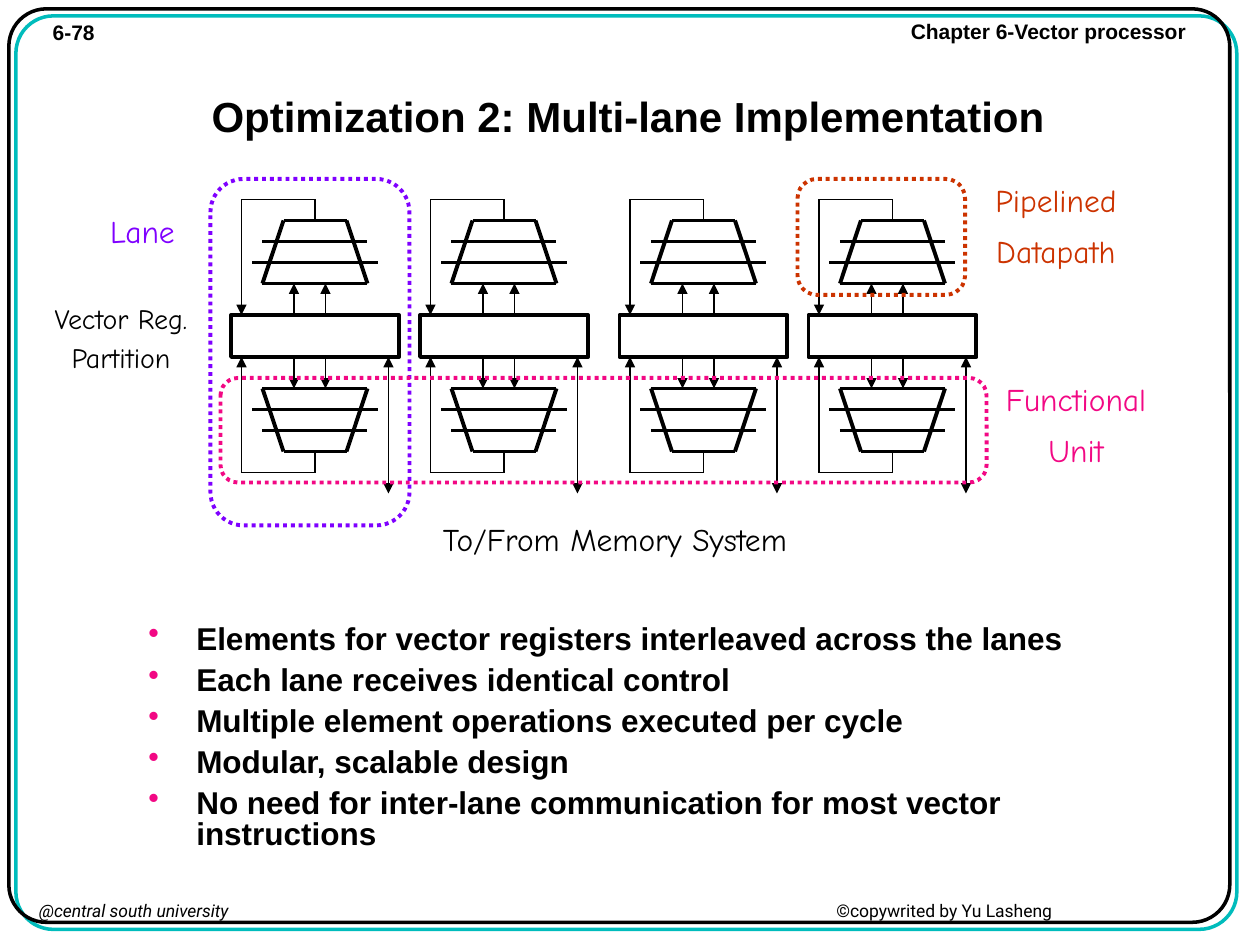
from lxml import etree
from pptx import Presentation
from pptx.dml.color import RGBColor
from pptx.enum.dml import MSO_LINE
from pptx.enum.shapes import MSO_CONNECTOR, MSO_SHAPE
from pptx.enum.text import MSO_ANCHOR, PP_ALIGN
from pptx.oxml.ns import qn
from pptx.util import Inches, Pt

STRAIGHT = MSO_CONNECTOR.STRAIGHT
RECTANGLE = MSO_SHAPE.RECTANGLE
ROUNDED = MSO_SHAPE.ROUNDED_RECTANGLE
DOTTED = MSO_LINE.ROUND_DOT
CENTER = PP_ALIGN.CENTER
LEFT = PP_ALIGN.LEFT
MIDDLE = MSO_ANCHOR.MIDDLE
TOP = MSO_ANCHOR.TOP

BLACK = "000000"
TEAL = "00BCBC"
PURPLE = "7F00FF"
ORANGE = "CC3300"
PINK = "F20884"
THICK, THIN = 2.25, 0.75
UNIT = 1 / 12
REGISTER_TOP, REGISTER_WIDTH, REGISTER_HEIGHT = 30, 16, 4
LANE_LEFTS = (22, 40, 59, 77)

BULLETS = (
    "Elements for vector registers interleaved across the lanes",
    "Each lane receives identical control",
    "Multiple element operations executed per cycle",
    "Modular, scalable design",
    "No need for inter-lane communication for most vector instructions",
)


def color(value):
    return RGBColor.from_string(value)


def add_element(parent, tag, **attributes):
    return etree.SubElement(parent, qn(tag), attributes)


def add_outline(shapes, kind, box, line_color, width, rounding=None):
    shape = shapes.add_shape(kind, *map(Inches, box))
    shape.shadow.inherit = False
    shape.fill.background()
    shape.line.color.rgb = color(line_color)
    shape.line.width = Pt(width)
    if rounding is not None:
        shape.adjustments[0] = rounding
    return shape


def add_text(page, box, lines, size, font="Arial", text_color=BLACK, bold=False,
             align=LEFT, spacing=1.0, before=0, wrap=True, anchor=TOP, bullet=None):
    text_box = page.shapes.add_textbox(*map(Inches, box))
    frame = text_box.text_frame
    frame.word_wrap = wrap
    frame.vertical_anchor = anchor
    for index, line in enumerate(lines):
        para = frame.add_paragraph() if index else frame.paragraphs[0]
        para.text = line
        para.alignment = align
        para.line_spacing = spacing
        if index:
            para.space_before = Pt(before)
        if bullet:
            properties = para._p.get_or_add_pPr()
            properties.set("marL", str(Inches(0.38)))
            properties.set("indent", str(-Inches(0.38)))
            add_element(add_element(properties, "a:buClr"), "a:srgbClr", val=bullet)
            add_element(properties, "a:buChar", char="•")
        para.font.size = Pt(size)
        para.font.name = font
        para.font.bold = bold
        para.font.color.rgb = color(text_color)
    return frame


def add_line(group, start, end, width, head=False, tail=False):
    ends = [Inches(value * UNIT) for value in (*start, *end)]
    line = group.shapes.add_connector(STRAIGHT, *ends)
    line.line.color.rgb = color(BLACK)
    line.line.width = Pt(width)
    outline = line.line._get_or_add_ln()
    for wanted, tag in ((head, "a:headEnd"), (tail, "a:tailEnd")):
        if wanted:
            add_element(outline, tag, type="triangle")
    add_element(line._element.spPr, "a:effectLst")


def add_frame(page, box):
    frame = add_outline(page.shapes, ROUNDED, box, BLACK, 2, 0.041)
    effects = frame._element.spPr.find(qn("a:effectLst"))
    shadow = add_element(effects, "a:outerShdw", blurRad="0", dist=str(Pt(5.7)),
                         dir="2700000", algn="ctr", rotWithShape="0")
    add_element(shadow, "a:srgbClr", val=TEAL)


def add_footer(page, box):
    frame = add_text(page, box, ["@central south university"], 10, "Roboto")
    para = frame.paragraphs[0]
    tabs = etree.Element(qn("a:tabLst"))
    add_element(tabs, "a:tab", pos=str(Inches(6.33)), algn="l")
    para._p.get_or_add_pPr().find(qn("a:defRPr")).addprevious(tabs)
    para.runs[0].font.italic = True
    span = para.add_run()
    span.text = "\t©copywrited by Yu Lasheng"
    for each in para.runs:
        each.font.size = Pt(10)
        each.font.name = "Roboto"


def add_datapath(group, left, edge, direction):
    def draw(start, end, width, tail=False):
        points = [(left + across, edge + direction * away)
                  for across, away in (start, end)]
        add_line(group, *points, width, tail=tail)

    for start, end in (((5, 9), (11, 9)), ((5, 9), (3, 3)), ((11, 9), (13, 3)),
                       ((3, 3), (13, 3)), ((2, 5), (14, 5)), ((3, 7), (13, 7))):
        draw(start, end, THICK)
    for port in (6, 9):
        draw((port, 0), (port, 3), THIN, tail=True)
    draw((8, 9), (8, 11), THIN)
    draw((8, 11), (1, 11), THIN)
    draw((1, 11), (1, 0), THIN, tail=True)


def add_lane(page, left, top):
    group = page.shapes.add_group_shape()
    box = [value * UNIT for value in (left, top, REGISTER_WIDTH, REGISTER_HEIGHT)]
    add_outline(group.shapes, RECTANGLE, box, BLACK, THICK)
    bottom = top + REGISTER_HEIGHT
    add_datapath(group, left, top, -1)
    add_datapath(group, left, bottom, 1)
    add_line(group, (left + 15, bottom), (left + 15, bottom + 13), THIN,
             head=True, tail=True)


def add_diagram(page):
    for left in LANE_LEFTS:
        add_lane(page, left, REGISTER_TOP)
    for box, line_color in (
        ((6.33, 1.42, 1.33, 0.92), ORANGE),
        ((1.67, 1.42, 1.58, 2.75), PURPLE),
        ((1.75, 3, 6.08, 0.83), PINK),
    ):
        region = add_outline(page.shapes, ROUNDED, box, line_color, THICK, 0.167)
        region.line.dash_style = DOTTED
    for box, lines, size, text_color, spacing in (
        ((1.67, 4.08, 6.42, 0.4), ["To/From Memory System"], 18, BLACK, 1.0),
        ((7.42, 1.42, 1.92, 0.79), ["Pipelined", "Datapath"], 18, ORANGE, 0.9),
        ((7.58, 3, 1.92, 0.79), ["Functional", "Unit"], 18, PINK, 0.9),
        ((0.42, 1.67, 1.42, 0.37), ["Lane"], 18, PURPLE, 0.9),
        ((0, 2.42, 1.92, 0.61), ["Vector Reg.", "Partition"], 16, BLACK, 0.7),
    ):
        add_text(page, box, lines, size, "Comic Neue", text_color, align=CENTER,
                 spacing=spacing, before=size * 0.55)


def main():
    deck = Presentation()
    deck.slide_width, deck.slide_height = Inches(10), Inches(7.5)
    page = deck.slides.add_slide(deck.slide_layouts[6])
    add_frame(page, (0.07, 0.07, 9.69, 7.25))
    add_text(page, (0.32, 0.11, 0.56, 0.3), ["6-78"], 12, bold=True, wrap=False)
    add_text(page, (7.13, 0.1, 2.39, 0.3), ["Chapter 6-Vector processor"], 12,
             bold=True, wrap=False)
    add_footer(page, (0.21, 7.09, 9.58, 0.26))
    add_text(page, (0.25, 0.32, 9.47, 1.25),
             ["Optimization 2: Multi-lane Implementation"], 24, bold=True,
             align=CENTER, spacing=0.9, anchor=MIDDLE)
    add_text(page, (1.08, 4.92, 7.83, 1.75), BULLETS, 18, bold=True,
             spacing=0.8, before=6.2, bullet=PINK)
    add_diagram(page)
    deck.save("out.pptx")


if __name__ == "__main__":
    main()
